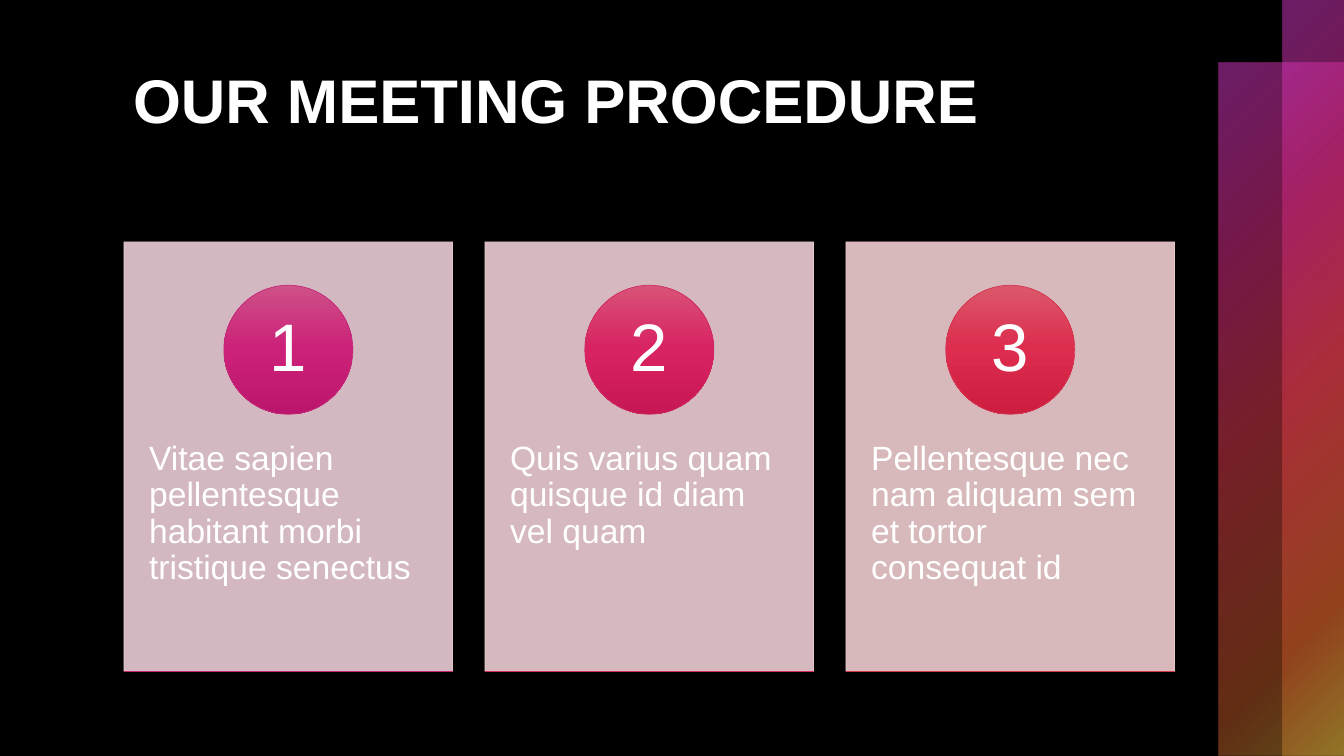
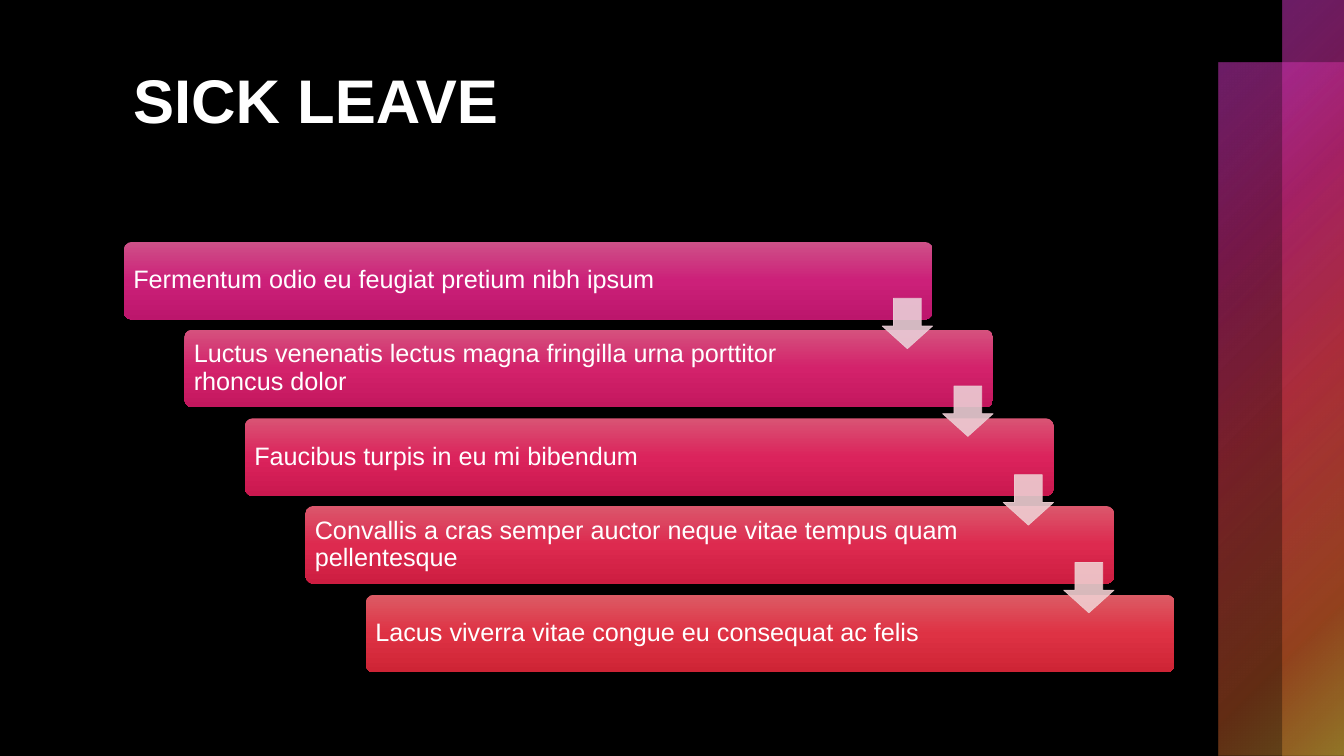
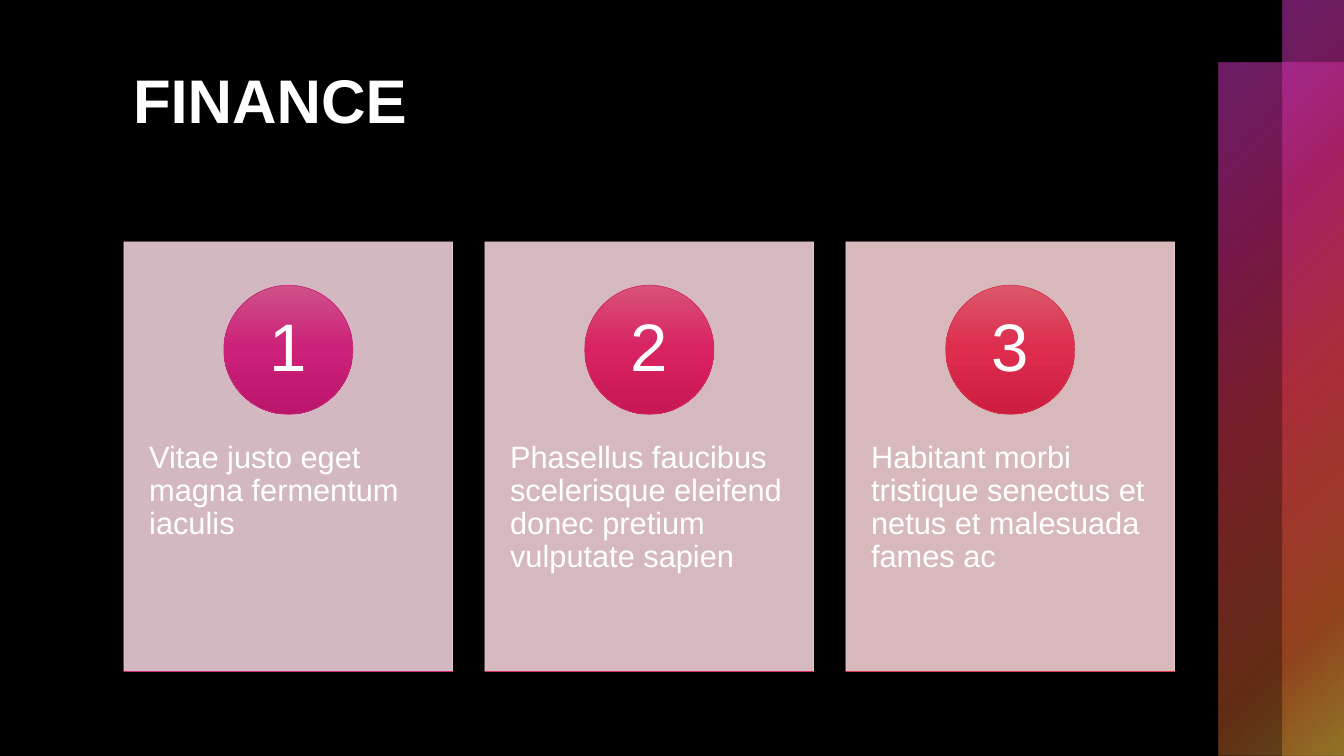
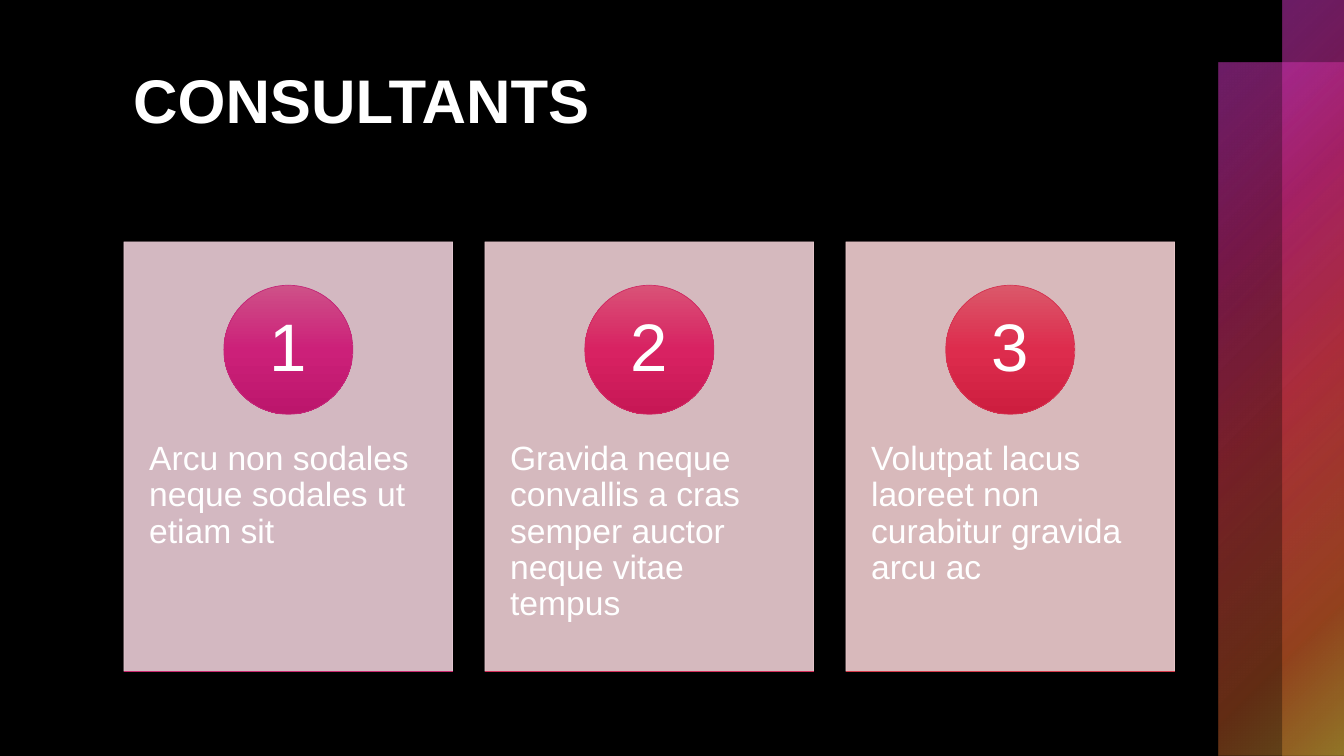
from dataclasses import dataclass

from lxml import etree
from pptx import Presentation
from pptx import util as u
from pptx.dml.color import RGBColor
from pptx.enum import shapes, text
from pptx.oxml.ns import qn
from pptx.shapes.autoshape import Shape
from pptx.slide import Slide

PX = 9144  # EMU in one px, 100 px to the inch
FONT = "Arial"
WHITE = "FFFFFF"
BLACK = "000000"
KIND = shapes.MSO_SHAPE

# Gradient stops: position, colour, opacity in percent
BAND_STOPS = [(0, "D63ACC", 50), (25, "C42879", 60), (50, "D63A4A", 55),
              (81, "C45928", 50), (99, "C39D35", 50)]


@dataclass(frozen=True)
class Box:
    left: int
    top: int
    width: int
    height: int


@dataclass(frozen=True)
class Tone:
    """A three-colour gradient from top to bottom, and its outline."""
    top: str
    middle: str
    bottom: str
    outline: str = ""


@dataclass(frozen=True)
class CardStyle:
    tint: str
    badge: Tone
    edge: Tone


@dataclass(frozen=True)
class CardSlide:
    title: str
    size: int
    bodies: tuple[str, str, str]


BANDS = [Box(1209, 62, 124, 688), Box(1272, 0, 62, 750)]
TITLE = Box(122, 50, 1037, 170)

CARD = Box(123, 240, 326, 426)
CARD_PITCH = 358
BADGE = 128
BADGE_DROP = 43
CARD_STYLES = [
    CardStyle("EACDD7", Tone("CE5188", "CC2079", "BC166C", "C42879"),
              Tone("D45280", "D2216E", "C21661", "CA296F")),
    CardStyle("EDCED3", Tone("D95277", "D82262", "C71755", "D02B65"),
              Tone("DA5570", "DC2557", "CD1849", "D42E5A")),
    CardStyle("F0CED0", Tone("DB586A", "DD2C4D", "CD1E3F", "D53452"),
              Tone("DC5B65", "DE3244", "CE2435", "D63A4A")),
]

STEP = Box(123, 240, 802, 77)
STEP_SHIFT = 60
STAIR_DROP = 350
ARROW = 50
ARROW_DROP = 56
STEP_TONES = [
    Tone("CE5188", "CC2079", "BC166C"), Tone("D5527E", "D3226B", "C3175E"),
    Tone("D95474", "DB235C", "CA184F"), Tone("DB576C", "DD2A4F", "CD1D41"),
    Tone("DC5B65", "DE3244", "CE2435"),
]
ARROW_TINTS = ["EACDD7", "ECCDD4", "EECED2", "F0CED0"]

MEETING = CardSlide("OUR MEETING PROCEDURE", 24, (
    "Vitae sapien pellentesque habitant morbi tristique senectus",
    "Quis varius quam quisque id diam vel quam",
    "Pellentesque nec nam aliquam sem et tortor consequat id"))
SICK_LEAVE_STEPS = [
    "Fermentum odio eu feugiat pretium nibh ipsum",
    "Luctus venenatis lectus magna fringilla urna porttitor rhoncus dolor",
    "Faucibus turpis in eu mi bibendum",
    "Convallis a cras semper auctor neque vitae tempus quam pellentesque",
    "Lacus viverra vitae congue eu consequat ac felis",
]
FINANCE = CardSlide("FINANCE", 22, (
    "Vitae justo eget magna fermentum iaculis",
    "Phasellus faucibus scelerisque eleifend donec pretium vulputate sapien",
    "Habitant morbi tristique senectus et netus et malesuada fames ac"))
CONSULTANTS = CardSlide("CONSULTANTS", 24, (
    "Arcu non sodales neque sodales ut etiam sit",
    "Gravida neque convallis a cras semper auctor neque vitae tempus",
    "Volutpat lacus laoreet non curabitur gravida arcu ac"))


def rgb(value: str) -> RGBColor:
    return RGBColor.from_string(value)


def add_alpha(color: etree._Element, opacity: int) -> None:
    etree.SubElement(color, qn("a:alpha"), val=str(opacity * 1000))


def add_shape(slide: Slide, kind: shapes.MSO_SHAPE, box: Box) -> Shape:
    """Add a shape with no shadow, fill or line."""
    shape = slide.shapes.add_shape(kind, box.left * PX, box.top * PX,
                                   box.width * PX, box.height * PX)
    shape.shadow.inherit = False
    shape.fill.background()
    shape.line.fill.background()
    return shape


def outline(shape: Shape, color: str) -> None:
    shape.line.color.rgb = rgb(color)
    shape.line.width = u.Pt(0.5)


def paint_tint(shape: Shape, tint: str) -> None:
    """Give fill and line the same slightly transparent colour."""
    shape.fill.solid()
    shape.fill.fore_color.rgb = rgb(tint)
    outline(shape, tint)
    for color in shape.element.spPr.iter(qn("a:srgbClr")):
        add_alpha(color, 90)


def paint_gradient(shape: Shape, stops: list[tuple[int, str, int]],
                   radial: bool = False) -> None:
    """Fill from top to bottom, or in circles from the top left corner."""
    gradient = etree.Element(qn("a:gradFill"), rotWithShape="1")
    stop_list = etree.SubElement(gradient, qn("a:gsLst"))
    for position, value, opacity in stops:
        stop = etree.SubElement(stop_list, qn("a:gs"), pos=str(position * 1000))
        color = etree.SubElement(stop, qn("a:srgbClr"), val=value)
        if opacity < 100:
            add_alpha(color, opacity)
    if radial:
        circle = etree.SubElement(gradient, qn("a:path"))
        circle.set("path", "circle")
        etree.SubElement(circle, qn("a:fillToRect"), r="100000", b="100000")
    else:
        etree.SubElement(gradient, qn("a:lin"), ang="5400000", scaled="0")
    properties = shape.element.spPr
    properties.replace(properties.find(qn("a:noFill")), gradient)


def paint_tone(shape: Shape, tone: Tone) -> None:
    paint_gradient(shape, [(0, tone.top, 100), (50, tone.middle, 100),
                           (100, tone.bottom, 100)])
    if tone.outline:
        outline(shape, tone.outline)


def write(shape: Shape, words: str, size: int,
          margins: tuple[int, int, int, int],
          anchor: text.MSO_ANCHOR = text.MSO_ANCHOR.MIDDLE,
          align: text.PP_ALIGN = text.PP_ALIGN.LEFT,
          spacing: float = 0.9, bold: bool = False) -> None:
    """Set one white paragraph; margins are left, top, right, bottom."""
    frame = shape.text_frame
    frame.word_wrap = True
    frame.auto_size = text.MSO_AUTO_SIZE.NONE
    frame.vertical_anchor = anchor
    (frame.margin_left, frame.margin_top,
     frame.margin_right, frame.margin_bottom) = (m * PX for m in margins)
    frame.text = words
    paragraph = frame.paragraphs[0]
    paragraph.alignment = align
    paragraph.line_spacing = spacing
    font = paragraph.font
    font.name, font.size, font.bold = FONT, u.Pt(size), bold
    font.color.rgb = rgb(WHITE)


def add_titled_slide(prs: Presentation, title: str) -> Slide:
    slide = prs.slides.add_slide(prs.slide_layouts.get_by_name("Title Only"))
    for box in BANDS:
        paint_gradient(add_shape(slide, KIND.RECTANGLE, box), BAND_STOPS, radial=True)
    heading = slide.shapes.title
    heading.left, heading.top = TITLE.left * PX, TITLE.top * PX
    heading.width, heading.height = TITLE.width * PX, TITLE.height * PX
    write(heading, title, 44, (10, 11, 10, 5), text.MSO_ANCHOR.TOP,
          spacing=1.0, bold=True)
    return slide


def add_card(slide: Slide, index: int, body: str, size: int) -> None:
    style = CARD_STYLES[index]
    left = CARD.left + index * CARD_PITCH
    card = add_shape(slide, KIND.RECTANGLE,
                     Box(left, CARD.top, CARD.width, CARD.height))
    paint_tint(card, style.tint)
    write(card, body, size, (25, 198, 25, 44), text.MSO_ANCHOR.TOP)

    badge = add_shape(slide, KIND.OVAL, Box(left + (CARD.width - BADGE) // 2,
                                            CARD.top + BADGE_DROP, BADGE, BADGE))
    paint_tone(badge, style.badge)
    write(badge, str(index + 1), 48, (10, 1, 10, 1), align=text.PP_ALIGN.CENTER)

    edge = add_shape(slide, KIND.RECTANGLE,
                     Box(left, CARD.top + CARD.height, CARD.width, 0))
    paint_tone(edge, style.edge)


def add_card_slide(prs: Presentation, content: CardSlide) -> None:
    slide = add_titled_slide(prs, content.title)
    for index, body in enumerate(content.bodies):
        add_card(slide, index, body, content.size)


def add_stair_slide(prs: Presentation, title: str, steps: list[str]) -> None:
    """Draw steps going down to the right, with an arrow from each to the next."""
    slide = add_titled_slide(prs, title)
    boxes = [Box(STEP.left + i * STEP_SHIFT,
                 STEP.top + STAIR_DROP * i // (len(steps) - 1),
                 STEP.width, STEP.height) for i in range(len(steps))]
    for box, words, tone in zip(boxes, steps, STEP_TONES):
        step = add_shape(slide, KIND.ROUNDED_RECTANGLE, box)
        step.adjustments[0] = 0.1
        paint_tone(step, tone)
        write(step, words, 18, (7, 7, 117, 7))
    for box, tint in zip(boxes, ARROW_TINTS):
        arrow = add_shape(slide, KIND.DOWN_ARROW,
                          Box(box.left + box.width - ARROW,
                              box.top + ARROW_DROP, ARROW, ARROW))
        arrow.adjustments[0], arrow.adjustments[1] = 0.55, 0.45
        paint_tint(arrow, tint)


def main() -> None:
    prs = Presentation()
    prs.slide_width, prs.slide_height = u.Emu(1333 * PX), u.Emu(750 * PX)
    background = prs.slide_master.background.fill
    background.solid()
    background.fore_color.rgb = rgb(BLACK)

    add_card_slide(prs, MEETING)
    add_stair_slide(prs, "SICK LEAVE", SICK_LEAVE_STEPS)
    add_card_slide(prs, FINANCE)
    add_card_slide(prs, CONSULTANTS)
    prs.save("out.pptx")


if __name__ == "__main__":
    main()
